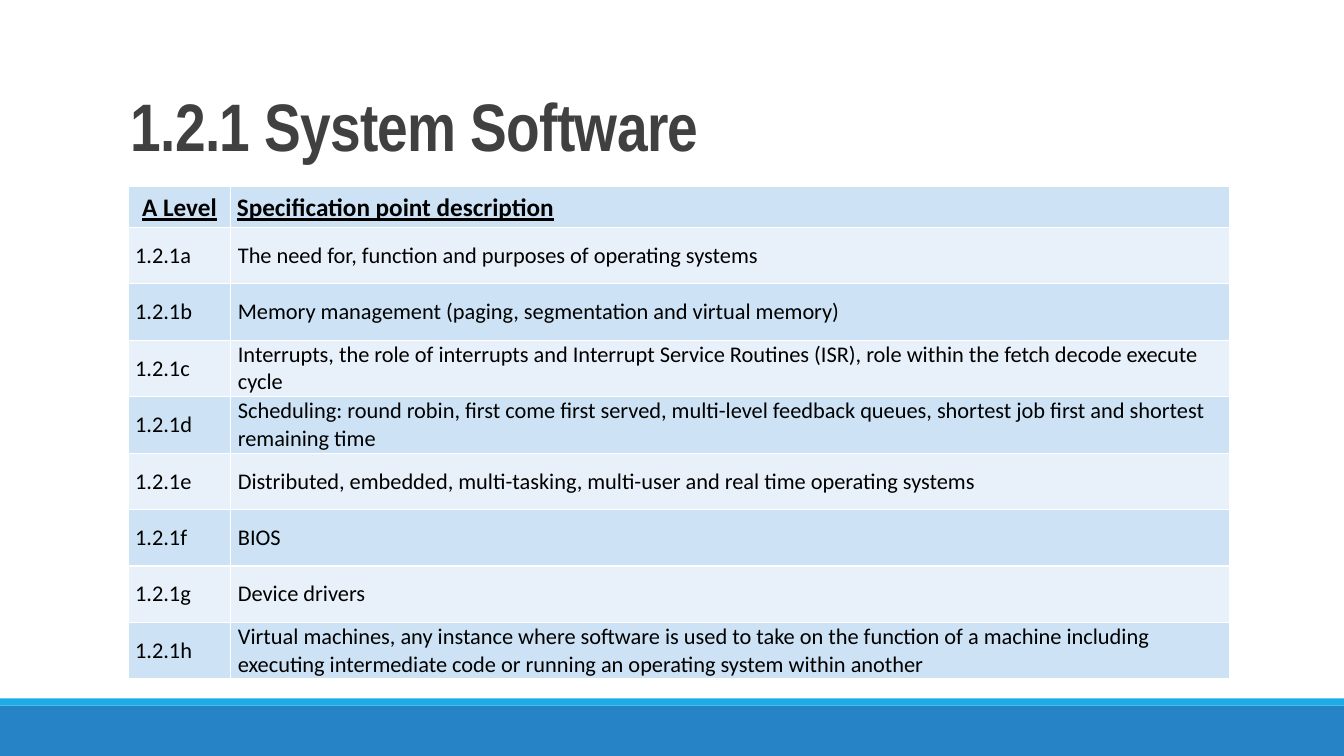
from dataclasses import dataclass

from lxml.etree import SubElement
from pptx import Presentation
from pptx.dml.color import RGBColor
from pptx.enum.shapes import MSO_SHAPE as Shape
from pptx.enum.text import MSO_ANCHOR as Anchor, PP_ALIGN as Align
from pptx.oxml.ns import qn
from pptx.slide import Slide
from pptx.table import _Cell as Cell
from pptx.util import Inches, Pt

BLUE = RGBColor(0x26, 0x83, 0xC6)
CYAN = RGBColor(0x1C, 0xAD, 0xE4)
DARK = RGBColor(0x40, 0x40, 0x40)
BLACK = RGBColor(0, 0, 0)
WHITE = RGBColor(0xFF, 0xFF, 0xFF)
BANDS = (RGBColor(0xCD, 0xE3, 0xF5), RGBColor(0xE8, 0xF1, 0xFA))

WIDTH, HEIGHT = 13.33, 7.5
COLS = (1.02, 9.91)
HEAD_H, ROW_H = 0.4, 0.56
HEADS = ("A Level", "Specification point description")
POINTS = (
    "The need for, function and purposes of operating systems",
    "Memory management (paging, segmentation and virtual memory)",
    "Interrupts, the role of interrupts and Interrupt Service Routines (ISR), "
    "role within the fetch decode execute cycle",
    "Scheduling: round robin, first come first served, multi-level feedback queues, "
    "shortest job first and shortest remaining time",
    "Distributed, embedded, multi-tasking, multi-user and real time operating systems",
    "BIOS",
    "Device drivers",
    "Virtual machines, any instance where software is used to take on the function "
    "of a machine including executing intermediate code or running an operating "
    "system within another",
)


@dataclass(frozen=True)
class Bar:
    top: float
    height: float
    color: RGBColor


@dataclass(frozen=True)
class Style:
    size: int
    bold: bool
    pad_x: float
    pad_y: float
    spacing: float


BARS = (Bar(7, 0.5, BLUE), Bar(6.93, 0.07, CYAN))
HEAD = Style(18, True, 0.06, 0.04, 1.07)
BODY = Style(16, False, 0.07, 0, 1)


def add_bar(slide: Slide, bar: Bar) -> None:
    shape = slide.shapes.add_shape(
        Shape.RECTANGLE, 0, Inches(bar.top), Inches(WIDTH), Inches(bar.height))
    shape.shadow.inherit = False
    shape.fill.solid()
    shape.fill.fore_color.rgb = bar.color
    shape.line.fill.background()


def add_title(slide: Slide, text: str) -> None:
    box = slide.shapes.add_textbox(Inches(1.2), Inches(0.1), Inches(11), Inches(1.59))
    frame = box.text_frame
    frame.word_wrap = True
    frame.vertical_anchor = Anchor.BOTTOM
    para = frame.paragraphs[0]
    para.line_spacing = 0.85
    run = para.add_run()
    run.text = text
    font = run.font
    font.name, font.size, font.bold = "Arial Narrow", Pt(48), True
    font.color.rgb = DARK
    run._r.get_or_add_rPr().set("spc", "-50")


def add_borders(cell: Cell) -> None:
    props = cell._tc.get_or_add_tcPr()
    for side in ("a:lnL", "a:lnR", "a:lnT", "a:lnB"):
        line = SubElement(props, qn(side), w=str(Pt(1)))
        fill = SubElement(line, qn("a:solidFill"))
        SubElement(fill, qn("a:srgbClr"), val=str(WHITE))


def fill_cell(cell: Cell, text: str, style: Style, color: RGBColor) -> None:
    add_borders(cell)
    cell.fill.solid()
    cell.fill.fore_color.rgb = color
    cell.vertical_anchor = Anchor.MIDDLE
    cell.margin_left = cell.margin_right = Inches(style.pad_x)
    cell.margin_top = cell.margin_bottom = Inches(style.pad_y)
    para = cell.text_frame.paragraphs[0]
    para.line_spacing = style.spacing
    run = para.add_run()
    run.text = text
    font = run.font
    font.name, font.size = "Calibri", Pt(style.size)
    font.bold = font.underline = style.bold
    font.color.rgb = BLACK


def add_points(slide: Slide) -> None:
    rows = [HEADS] + [(f"1.2.1{key}", text) for key, text in zip("abcdefgh", POINTS)]
    table = slide.shapes.add_table(
        len(rows), len(COLS), Inches(1.27), Inches(1.85),
        Inches(sum(COLS)), Inches(HEAD_H + ROW_H * len(POINTS))).table
    table.first_row = table.horz_banding = False
    for col, width in zip(table.columns, COLS):
        col.width = Inches(width)
    for i, texts in enumerate(rows):
        table.rows[i].height = Inches(ROW_H if i else HEAD_H)
        for j, text in enumerate(texts):
            fill_cell(table.cell(i, j), text, BODY if i else HEAD, BANDS[i % 2])
    table.cell(0, 0).text_frame.paragraphs[0].alignment = Align.CENTER


def main() -> None:
    deck = Presentation()
    deck.slide_width, deck.slide_height = Inches(WIDTH), Inches(HEIGHT)
    slide = deck.slides.add_slide(deck.slide_layouts[6])
    for bar in BARS:
        add_bar(slide, bar)
    add_points(slide)
    add_title(slide, "1.2.1 System Software")
    deck.save("out.pptx")


if __name__ == "__main__":
    main()
